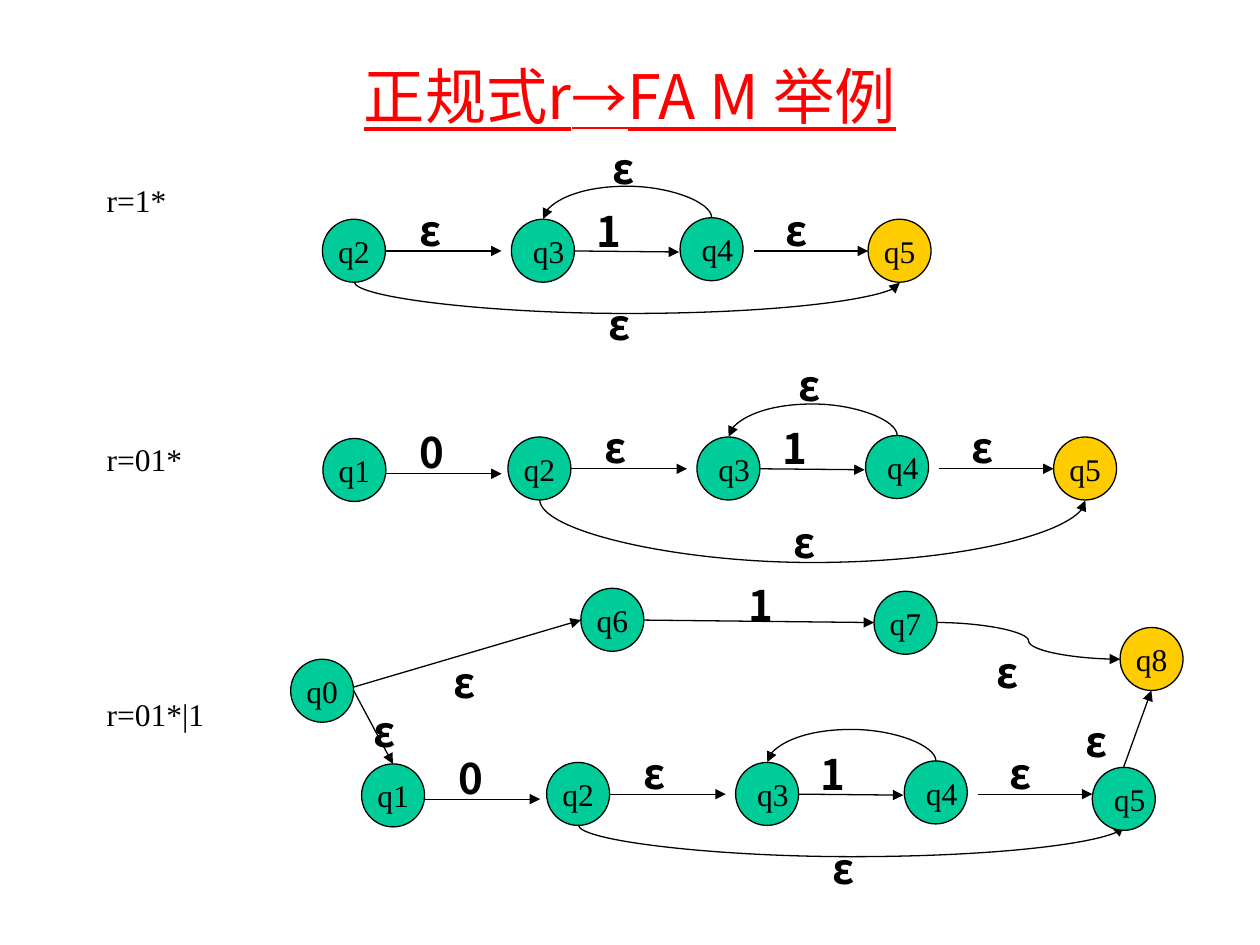
from pptx import Presentation
from pptx.dml.color import RGBColor
from pptx.enum.shapes import MSO_CONNECTOR, MSO_SHAPE
from pptx.enum.text import MSO_ANCHOR, MSO_AUTO_SIZE, PP_ALIGN
from pptx.oxml.ns import qn
from pptx.util import Cm, Pt
from lxml import etree

STRAIGHT, CURVE = MSO_CONNECTOR.STRAIGHT, MSO_CONNECTOR.CURVE
OVAL = MSO_SHAPE.OVAL
MIDDLE = MSO_ANCHOR.MIDDLE
GROW = MSO_AUTO_SIZE.SHAPE_TO_FIT_TEXT
LEFT, CENTER = PP_ALIGN.LEFT, PP_ALIGN.CENTER

THEME = {
    "state": RGBColor(0x00, 0xCC, 0x99),
    "accepting": RGBColor(0xFF, 0xCC, 0x00),
    "line": RGBColor(0, 0, 0),
    "line_width": Pt(0.75),
    "title": {"size": Pt(35), "name": "Noto Sans CJK SC", "underline": True,
              "color": RGBColor(0xFF, 0, 0)},
    "title_arrow": {"size": Pt(32)},
    "body": {"size": Pt(18), "name": "Times New Roman", "color": RGBColor(0, 0, 0)},
    "symbol": {"size": Pt(24), "name": "Noto Sans CJK SC", "bold": True,
               "color": RGBColor(0, 0, 0)},
}
DIAMETER = 1.27
ARC_THICKNESS = 0.02

TITLE_RUNS = [("正规式r", {}), ("→", THEME["title_arrow"]), ("FA M 举例", {})]

STAR = {
    "states": [("q3", 3.81, 0, "state", LEFT), ("q4", 7.21, -0.03, "state", LEFT),
               ("q2", 0, 0, "state", CENTER)],
    "arrows": [(1.27, 0.64, 3.61, 0.64), (8.69, 0.64, 11, 0.64), (5.08, 0.64, 7.19, 0.66)],
    "arcs": [(7.85, -0.03, 4.45, 0, -0.64)],
    "symbols": [("ε", 1.7, -0.43), ("ε", 9.09, -0.43), ("1", 5.28, -0.41), ("ε", 5.51, 1.48)],
}
PREFIX = {
    "states": [("q1", -3.73, 0.03, "state", CENTER)],
    "arrows": [(-2.46, 0.74, -0.13, 0.74)],
    "symbols": [("0", -2.03, -0.33)],
}
ACCEPT = {"states": [("q5", 11, 0, "accepting", CENTER)]}
SHALLOW_SKIP = {"arcs": [(0.64, 1.27, 11.64, 1.27, 0.64)]}
DEEP_SKIP = {"arcs": [(0.64, 1.27, 11.64, 1.27, 1.27)]}
LOOP_SYMBOL = {"symbols": [("ε", 5.6, -1.68)]}
UNION = {
    "states": [("q5", 11, 0.1, "state", LEFT), ("q0", -5.16, -2.08, "state", CENTER),
               ("q8", 11.56, -2.72, "accepting", CENTER), ("q6", 0.69, -3.51, "state", CENTER),
               ("q7", 6.6, -3.45, "state", CENTER)],
    "arrows": [(1.96, -2.87, 6.6, -2.82), (-3.89, -1.52, 0.69, -2.87),
               (-3.89, -1.45, -3.1, 0.03), (11.63, 0.1, 12.19, -1.45)],
    "bends": [(7.87, -2.82, 11.56, -2.08)],
    "symbols": [("1", 3.81, -3.81), ("ε", -2.13, -2.26), ("ε", -3.73, -1.27),
                ("ε", 8.81, -2.46), ("ε", 10.62, -1.07)],
}
AUTOMATA = [
    ("r=1*", 3.53, 1.73, (6.5, 4.42), [STAR, ACCEPT, SHALLOW_SKIP, LOOP_SYMBOL]),
    ("r=01*", 8.74, 2.06, (10.24, 8.81), [STAR, ACCEPT, DEEP_SKIP, LOOP_SYMBOL, PREFIX]),
    ("r=01*|1", 13.89, 2.49, (11.02, 15.37), [STAR, SHALLOW_SKIP, PREFIX, UNION]),
]


def add_run(paragraph, text, style):
    """Append a run and apply its style, including the East Asian typeface."""
    run = paragraph.add_run()
    run.text = text
    for attribute, value in style.items():
        if attribute == "color":
            run.font.color.rgb = value
        else:
            setattr(run.font, attribute, value)
    east_asian = etree.SubElement(run.font._element, qn("a:ea"))
    east_asian.set("typeface", style["name"])


def add_text(slide, runs, box, style, alignment=LEFT, **frame_format):
    """Add a text box whose frame takes the given format values."""
    shape = slide.shapes.add_textbox(*map(Cm, box))
    for attribute, value in frame_format.items():
        setattr(shape.text_frame, attribute, value)
    paragraph = shape.text_frame.paragraphs[0]
    paragraph.alignment = alignment
    for text, changes in runs:
        add_run(paragraph, text, style | changes)


def add_state(slide, name, left, top, role, alignment):
    """Add a labelled circle for one state."""
    shape = slide.shapes.add_shape(OVAL, *map(Cm, (left, top, DIAMETER, DIAMETER)))
    shape.shadow.inherit = False
    shape.fill.solid()
    shape.fill.fore_color.rgb = THEME[role]
    shape.line.color.rgb = THEME["line"]
    shape.line.width = THEME["line_width"]
    for attribute, value in {"word_wrap": False, "vertical_anchor": MIDDLE}.items():
        setattr(shape.text_frame, attribute, value)
    paragraph = shape.text_frame.paragraphs[0]
    paragraph.alignment = alignment
    add_run(paragraph, name, THEME["body"])


def add_arrow(slide, kind, points):
    """Add a connector with a triangle at its end."""
    connector = slide.shapes.add_connector(kind, *map(Cm, points))
    connector.line.color.rgb = THEME["line"]
    connector.line.width = THEME["line_width"]
    etree.SubElement(connector.line._get_or_add_ln(), qn("a:tailEnd"), type="triangle")
    etree.SubElement(connector._element.spPr, qn("a:effectLst"))
    return connector


def add_arc(slide, start_x, start_y, end_x, end_y, bulge):
    """Add a curved arrow, turned a quarter, that bulges down by the given depth."""
    middle_x, middle_y = (start_x + end_x) / 2, (start_y + end_y) / 2
    half = ARC_THICKNESS / 2
    connector = add_arrow(slide, CURVE, (
        middle_x + half, middle_y + start_x - middle_x,
        middle_x - half, middle_y + end_x - middle_x))
    properties = connector._element.spPr
    properties.find(qn("a:xfrm")).set("rot", str(270 * 60000))
    adjustments = properties.find(qn("a:prstGeom")).find(qn("a:avLst"))
    depth = round(bulge / ARC_THICKNESS * 100000)
    etree.SubElement(adjustments, qn("a:gd"), name="adj1", fmla=f"val {depth}")


def add_part(slide, part, origin_x, origin_y):
    """Draw one part of an automaton relative to its origin."""
    def shifted(points):
        return [value + (origin_x, origin_y)[index % 2] for index, value in enumerate(points)]

    for name, left, top, role, alignment in part.get("states", []):
        add_state(slide, name, *shifted((left, top)), role, alignment)
    for key, kind in (("arrows", STRAIGHT), ("bends", CURVE)):
        for points in part.get(key, []):
            add_arrow(slide, kind, shifted(points))
    for *points, bulge in part.get("arcs", []):
        add_arc(slide, *shifted(points), bulge)
    for symbol, left, top in part.get("symbols", []):
        add_text(slide, [(symbol, {})], (*shifted((left, top)), DIAMETER, DIAMETER),
                 THEME["symbol"], word_wrap=True, auto_size=GROW)


def main():
    """Build the slide and save it."""
    presentation = Presentation()
    presentation.slide_width, presentation.slide_height = Cm(25.4), Cm(19.05)
    slide = presentation.slides.add_slide(presentation.slide_layouts[6])
    add_text(slide, TITLE_RUNS, (1.9, 1.07, 21.6, 1.7), THEME["title"], CENTER,
             word_wrap=True, vertical_anchor=MIDDLE)
    for caption, top, width, origin, parts in AUTOMATA:
        add_text(slide, [(caption, {})], (1.9, top, width, 1.02), THEME["body"],
                 word_wrap=False, auto_size=GROW)
        for part in parts:
            add_part(slide, part, *origin)
    presentation.save("out.pptx")


if __name__ == "__main__":
    main()
